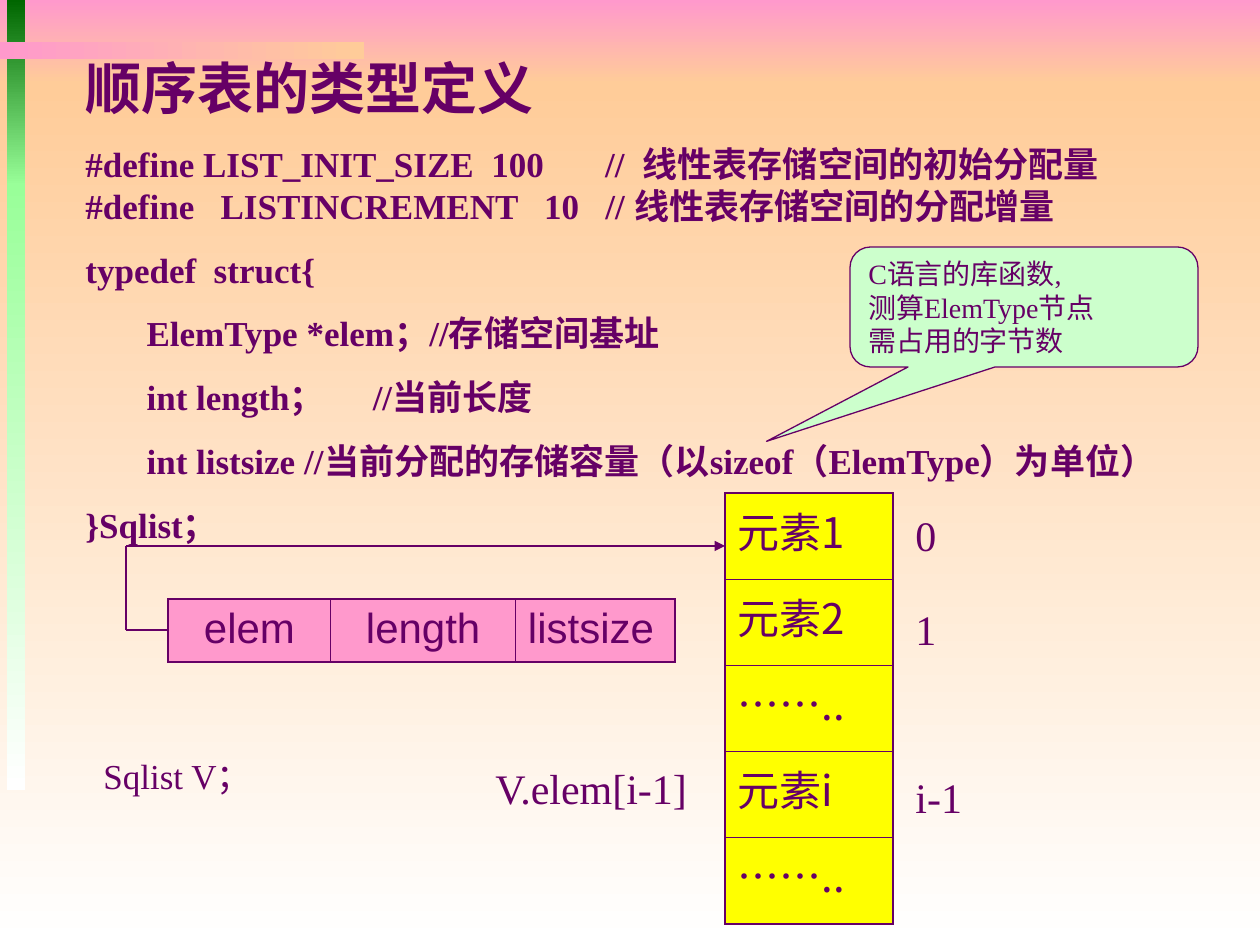
import pptx
import pptx.util
import pptx.dml.color
import pptx.enum.shapes
import pptx.enum.text
import pptx.oxml
import pptx.oxml.ns

SCALE = 914400 / 126
COLORS = {
    "ink": "660066", "pink": "FF99CC", "peach": "FFCC99", "white": "FFFFFF",
    "forest": "006600", "green": "99FF99", "mint": "CCFFCC", "yellow": "FFFF00",
}
SHAPES = pptx.enum.shapes.MSO_SHAPE
ANCHORS = pptx.enum.text.MSO_ANCHOR
LEFT = pptx.enum.text.PP_ALIGN.LEFT
SERIF, SANS, CJK = "Times New Roman", "Arial", "Noto Sans CJK SC"
THIN, FRAME = 0.45, 1.08


def px(length):
    return pptx.util.Emu(round(length * SCALE))


def box_emu(box):
    return [px(length) for length in box]


def rgb(name):
    return pptx.dml.color.RGBColor.from_string(COLORS[name])


def write(frame, lines, size, font=SERIF, bold=False, gap=0, wrap=True,
          anchor=ANCHORS.TOP):
    frame.word_wrap = wrap
    frame.vertical_anchor = anchor
    frame.text = "\n".join(lines)
    style = {"size": pptx.util.Pt(size), "name": font, "bold": bold}
    for number, paragraph in enumerate(frame.paragraphs):
        paragraph.alignment = LEFT
        paragraph.space_before = pptx.util.Pt(gap if number else 0)
        for attribute, value in style.items():
            setattr(paragraph.font, attribute, value)
        paragraph.font.color.rgb = rgb("ink")


def add_text(slide, box, lines, size, **options):
    frame = slide.shapes.add_textbox(*box_emu(box)).text_frame
    write(frame, lines, size, **options)


def add_backdrop(slide):
    down, across = 270, 0
    bands = [
        ((0, 0, 1260, 84), "pink", "peach", down),
        ((0, 84, 1260, 861), "peach", "white", down),
        ((7, 0, 18, 186), "forest", "green", down),
        ((7, 184, 18, 606), "green", "white", down),
        ((0, 42, 364, 17), "pink", "peach", across),
    ]
    for box, start, end, angle in bands:
        band = slide.shapes.add_shape(SHAPES.RECTANGLE, *box_emu(box))
        band.shadow.inherit = False
        band.line.fill.background()
        band.fill.gradient()
        band.fill.gradient_angle = angle
        for stop, color in zip(band.fill.gradient_stops, (start, end)):
            stop.color.rgb = rgb(color)


def add_title(slide, box, text):
    title = slide.shapes.title
    # Bring the title in front of the backdrop
    slide.shapes._spTree.append(title._element)
    title.left, title.top, title.width, title.height = box_emu(box)
    write(title.text_frame, [text], 32, font=SANS, bold=True)
    title.text_frame.auto_size = pptx.enum.text.MSO_AUTO_SIZE.NONE


def add_definition(slide, box):
    add_text(slide, box, [
        "#define LIST_INIT_SIZE  100       //  线性表存储空间的初始分配量\v"
        "#define   LISTINCREMENT   10   // 线性表存储空间的分配增量",
        "typedef  struct{",
        "       ElemType *elem；//存储空间基址",
        "       int length；      //当前长度",
        "       int listsize //当前分配的存储容量（以sizeof（ElemType）为单位）",
        "}Sqlist；",
    ], 20, bold=True, gap=12.5)


def set_borders(cell, widths):
    properties = cell._tc.get_or_add_tcPr()
    for position, (side, width) in enumerate(widths.items()):
        properties.insert(position, pptx.oxml.parse_xml(
            f'<a:{side} {pptx.oxml.ns.nsdecls("a")} w="{pptx.util.Pt(width)}">'
            f'<a:solidFill><a:srgbClr val="{COLORS["ink"]}"/></a:solidFill>'
            f'</a:{side}>'))


def add_grid(slide, box, rows, column_widths, fill, font, indents):
    row_count, column_count = len(rows), len(column_widths)
    table = slide.shapes.add_table(row_count, column_count, *box_emu(box)).table
    table.first_row = table.horz_banding = False
    for column, width in zip(table.columns, column_widths):
        column.width = px(width)
    for r, row in enumerate(rows):
        for c, text in enumerate(row):
            cell = table.cell(r, c)
            write(cell.text_frame, [text], 24, font=font)
            cell.margin_left = px(indents[c])
            cell.fill.solid()
            cell.fill.fore_color.rgb = rgb(fill)
            set_borders(cell, {
                "lnL": THIN if c else FRAME,
                "lnR": THIN if c < column_count - 1 else FRAME,
                "lnT": THIN if r else FRAME,
                "lnB": THIN if r < row_count - 1 else FRAME,
            })


def add_record(slide, box):
    add_grid(slide, box, [["elem", "length", "listsize"]], [162, 185, 160],
             "pink", SANS, [36, 36, 13])


def add_storage(slide, box):
    left, top, width, _ = box
    elements = ["元素1", "元素2", "……..", "元素i", "…….."]
    add_grid(slide, box, [[element] for element in elements], [width],
             "yellow", CJK, [13])
    # Index beside each element
    for index, offset in (("0", 10), ("1", 104), ("i-1", 272)):
        add_text(slide, (left + width + 10, top + offset, 105, 63), [index], 24)


def add_pointer(slide, box):
    left, top, width, height = box
    record_x, storage_x = left + 42, left + width
    corners = [(record_x, top + height), (left, top + height), (left, top),
               (storage_x, top)]
    for start, end in zip(corners, corners[1:]):
        segment = slide.shapes.add_connector(
            pptx.enum.shapes.MSO_CONNECTOR.STRAIGHT, *box_emu(start + end))
        segment.line.color.rgb = rgb("ink")
        segment.line.width = pptx.util.Pt(1.5)
        effects = pptx.oxml.parse_xml(
            f'<a:effectLst {pptx.oxml.ns.nsdecls("a")}/>')
        segment._element.spPr.append(effects)
    # Arrowhead on the last segment
    segment.line._get_or_add_ln().append(pptx.oxml.parse_xml(
        f'<a:tailEnd {pptx.oxml.ns.nsdecls("a")} type="triangle"/>'))


def add_callout(slide, box):
    callout = slide.shapes.add_shape(SHAPES.ROUNDED_RECTANGULAR_CALLOUT,
                                     *box_emu(box))
    for number, value in enumerate((-0.74, 1.12, 0.17)):
        callout.adjustments[number] = value
    callout.shadow.inherit = False
    callout.fill.solid()
    callout.fill.fore_color.rgb = rgb("mint")
    callout.line.color.rgb = rgb("ink")
    callout.line.width = pptx.util.Pt(0.75)
    write(callout.text_frame,
          ["C语言的库函数,", "测算ElemType节点", "需占用的字节数"],
          16, wrap=False, anchor=ANCHORS.MIDDLE)


def main():
    deck = pptx.Presentation()
    deck.slide_width, deck.slide_height = px(1260), px(945)
    slide = deck.slides.add_slide(deck.slide_layouts.get_by_name("Title Only"))
    add_backdrop(slide)
    add_title(slide, (73, 47, 1187, 80), "顺序表的类型定义")
    add_record(slide, (168, 599, 507, 63))
    add_storage(slide, (725, 493, 168, 431))
    add_text(slide, (483, 756, 222, 63), ["V.elem[i-1]"], 24, wrap=False)
    add_definition(slide, (73, 136, 1187, 416))
    add_pointer(slide, (126, 546, 599, 84))
    add_callout(slide, (850, 247, 348, 120))
    add_text(slide, (91, 748, 183, 55), ["Sqlist V；"], 20, wrap=False)
    deck.save("out.pptx")


if __name__ == "__main__":
    main()
